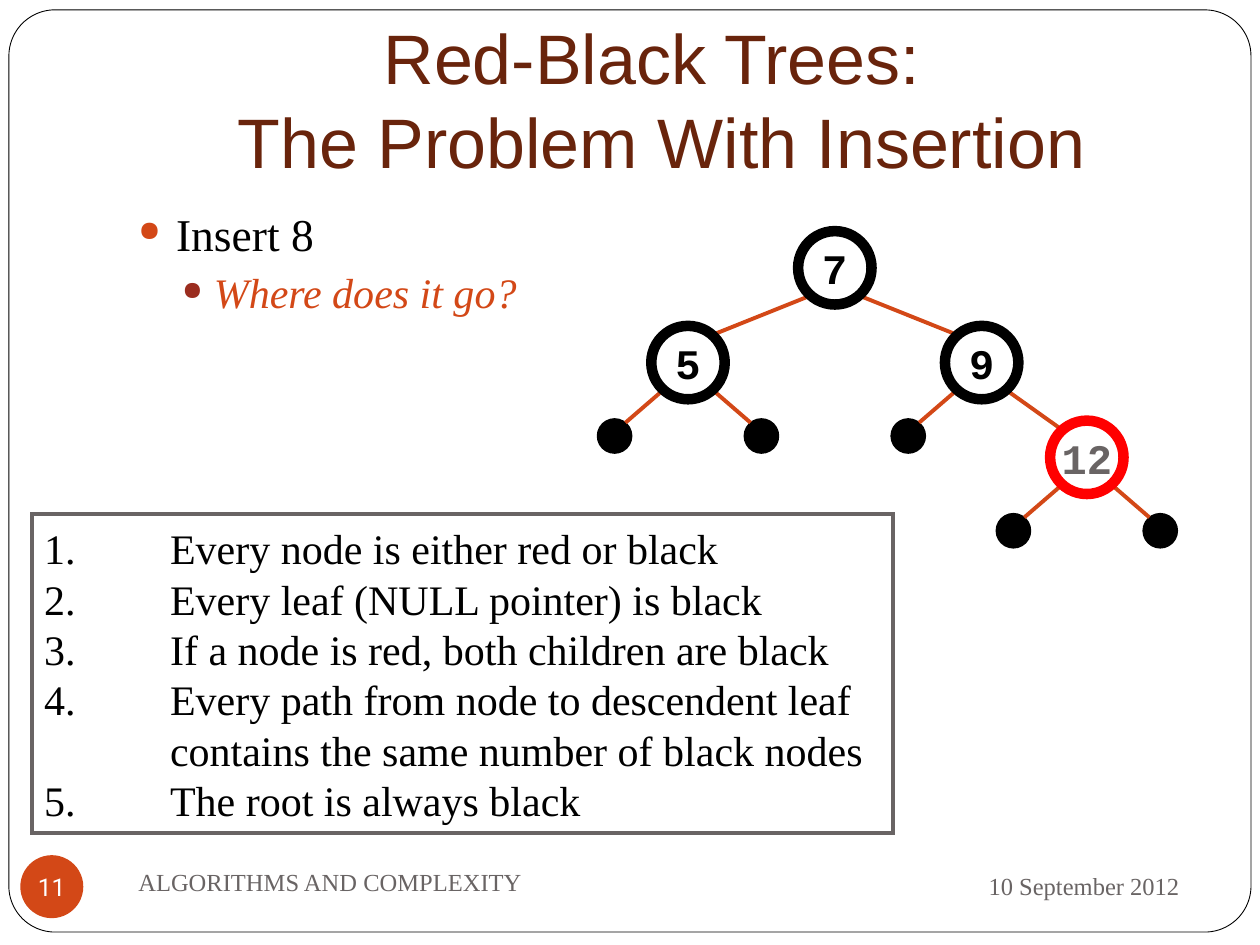
from dataclasses import dataclass

from lxml import etree
from pptx import Presentation
from pptx.dml.color import RGBColor
from pptx.enum.shapes import MSO_CONNECTOR, MSO_SHAPE
from pptx.enum.text import MSO_ANCHOR, PP_ALIGN
from pptx.oxml.ns import qn
from pptx.util import Cm, Pt

LEFT, CENTER, RIGHT = PP_ALIGN.LEFT, PP_ALIGN.CENTER, PP_ALIGN.RIGHT
MIDDLE, BOTTOM = MSO_ANCHOR.MIDDLE, MSO_ANCHOR.BOTTOM
OVAL, RECTANGLE, ROUNDED = MSO_SHAPE.OVAL, MSO_SHAPE.RECTANGLE, MSO_SHAPE.ROUNDED_RECTANGLE
STRAIGHT = MSO_CONNECTOR.STRAIGHT


@dataclass(frozen=True)
class Theme:
    """Colours, fonts and type sizes of the slide."""
    black: str = "000000"
    white: str = "FFFFFF"
    red: str = "FF0000"
    accent: str = "D34817"
    maroon: str = "9B2D1F"
    brown: str = "69240C"
    grey: str = "696464"
    serif: str = "Times New Roman"
    sans: str = "Arial"
    mono: str = "Courier New"
    badge: str = "Roboto"
    title: int = 40
    lead: int = 26
    text: int = 24
    small: int = 14


THEME = Theme()
RULES = (
    "1.\tEvery node is either red or black",
    "2.\tEvery leaf (NULL pointer) is black",
    "3.\tIf a node is red, both children are black",
    "4. \tEvery path from node to descendent leaf\v\tcontains the same number of black nodes",
    "5. \tThe root is always black",
)
STEP_Y, LEAF_STEP = 1.91, 1.48
NODE_SIZE, LEAF_SIZE = 1.48, 0.64
NODE_REACH, LEAF_REACH = (0.52, 0.57), (0.22, 0.27)


def font(size, name, color, **extra):
    """Return the format values of a piece of text."""
    return {"size": Pt(size), "name": name, "color": color, **extra}


def write(para, text, values):
    """Put text in a paragraph and format its runs."""
    para.text = text
    for span in para.runs:
        for key, value in values.items():
            if key == "color":
                span.font.color.rgb = RGBColor.from_string(value)
            else:
                setattr(span.font, key, value)


def fill_text(shape, lines, values, align=LEFT, anchor=MIDDLE, wrap=True):
    """Write equally formatted paragraphs into a shape."""
    frame = shape.text_frame
    frame.word_wrap, frame.vertical_anchor = wrap, anchor
    for index, line in enumerate(lines):
        para = frame.add_paragraph() if index else frame.paragraphs[0]
        para.alignment = align
        write(para, line, values)
    return frame


def add_box(page, box):
    """Add a text box at a box given in centimetres."""
    return page.shapes.add_textbox(*map(Cm, box))


def add_shape(page, kind, box, fill=None, line=None, width=0):
    """Add a flat preset shape."""
    shape = page.shapes.add_shape(kind, *map(Cm, box))
    shape.shadow.inherit = False
    if fill:
        shape.fill.solid()
        shape.fill.fore_color.rgb = RGBColor.from_string(fill)
    else:
        shape.fill.background()
    if line:
        shape.line.color.rgb = RGBColor.from_string(line)
        shape.line.width = Pt(width)
    else:
        shape.line.fill.background()
    return shape


def add_circle(page, center, size, *style):
    """Add a circle around a centre point."""
    x, y = center
    return add_shape(page, OVAL, (x - size / 2, y - size / 2, size, size), *style)


def add_edge(page, parent, child, reach):
    """Join a parent to its child, stopping at the rims."""
    side = 1 if child[0] > parent[0] else -1
    start = parent[0] + side * NODE_REACH[0], parent[1] + NODE_REACH[1]
    end = child[0] - side * reach[0], child[1] - reach[1]
    edge = page.shapes.add_connector(STRAIGHT, *map(Cm, start + end))
    edge.line.color.rgb = RGBColor.from_string(THEME.accent)
    edge.line.width = Pt(2.25)
    etree.SubElement(edge.element.spPr, qn("a:effectLst"))


def add_bullet(para, color, margin, indent):
    """Give a paragraph a round coloured bullet."""
    props = para._p.get_or_add_pPr()
    props.set("marL", str(Cm(margin)))
    props.set("indent", str(Cm(-indent)))
    tint = etree.SubElement(props, qn("a:buClr"))
    etree.SubElement(tint, qn("a:srgbClr"), val=color)
    etree.SubElement(props, qn("a:buSzPct"), val="62000")
    etree.SubElement(props, qn("a:buChar"), char="●")


def build_title(page, box):
    """Place the two-line heading."""
    frame = fill_text(add_box(page, box), ["Red-Black Trees: \vThe Problem With Insertion"],
                      font(THEME.title, THEME.sans, THEME.brown), CENTER, BOTTOM)
    frame.margin_bottom = Cm(0.25)


def build_question(page, box):
    """Place the bulleted question."""
    frame = add_box(page, box).text_frame
    frame.word_wrap = True
    lead, question = frame.paragraphs[0], frame.add_paragraph()
    add_bullet(lead, THEME.accent, 0.76, 0.76)
    write(lead, "Insert 8", font(THEME.lead, THEME.serif, THEME.black))
    question.level = 1
    add_bullet(question, THEME.maroon, 1.52, 0.64)
    question.space_before = Pt(3.8)
    write(question, "Where does it go?", font(THEME.text, THEME.serif, THEME.accent, italic=True))


def build_tree(page, box):
    """Draw the red-black tree from its root downwards."""
    left, top = box[:2]
    root = left + 4.76, top + NODE_SIZE / 2
    five = root[0] - 2 * LEAF_STEP, root[1] + STEP_Y
    nine = root[0] + 2 * LEAF_STEP, root[1] + STEP_Y
    twelve = nine[0] + 2.12, nine[1] + STEP_Y
    leaves = [(parent, (parent[0] + side * LEAF_STEP, parent[1] + LEAF_STEP))
              for parent, sides in ((five, (-1, 1)), (nine, (-1,)), (twelve, (-1, 1)))
              for side in sides]
    for _, leaf in leaves:
        add_circle(page, leaf, LEAF_SIZE, THEME.black, THEME.black, 2.25)
    for parent, leaf in leaves:
        add_edge(page, parent, leaf, LEAF_REACH)
    for parent, child in ((root, five), (root, nine), (nine, twelve)):
        add_edge(page, parent, child, NODE_REACH)
    for key, center, ring, ink in (("12", twelve, THEME.red, THEME.grey),
                                   ("5", five, THEME.black, THEME.black),
                                   ("9", nine, THEME.black, THEME.black),
                                   ("7", root, THEME.black, THEME.black)):
        node = add_circle(page, center, NODE_SIZE, THEME.white, ring, 6)
        fill_text(node, [key], font(THEME.text, THEME.mono, ink, bold=True), CENTER, wrap=False)


def build_rules(page, box):
    """Place the framed list of tree properties."""
    panel = add_shape(page, RECTANGLE, box, None, THEME.grey, 2.25)
    etree.SubElement(panel.line._get_or_add_ln(), qn("a:miter"), lim="800000")
    frame = fill_text(panel, RULES, font(THEME.text, THEME.serif, THEME.black))
    for para in frame.paragraphs:
        stops = etree.SubElement(para._p.get_or_add_pPr(), qn("a:tabLst"))
        etree.SubElement(stops, qn("a:tab"), pos=str(Cm(2.54)), algn="l")


def build_footer(page, box):
    """Place the page number, course name and date."""
    left, top, width, height = box
    small = font(THEME.small, THEME.serif, THEME.grey)
    fill_text(add_box(page, (left + width - 6.88, top + 0.05, 6.88, 1.32)),
              ["10 September 2012"], small, RIGHT)
    badge = add_shape(page, OVAL, (left, top + 0.1, height, height), THEME.accent)
    frame = fill_text(badge, ["11"], font(THEME.small, THEME.badge, THEME.white), CENTER, wrap=False)
    for side in ("left", "top", "right", "bottom"):
        setattr(frame, f"margin_{side}", 0)
    fill_text(add_box(page, (left + 2.13, top, 11, height)), ["ALGORITHMS AND COMPLEXITY"], small)


def main():
    """Build and save the slide."""
    deck = Presentation()
    deck.slide_width, deck.slide_height = Cm(25.4), Cm(19.05)
    page = deck.slides.add_slide(deck.slide_layouts[6])
    border = add_shape(page, ROUNDED, (0.18, 0.2, 25.04, 18.59), THEME.white, THEME.black, 0.5)
    border.adjustments[0] = 0.05
    build_question(page, (2.54, 4.02, 21.59, 12.7))
    build_title(page, (2.54, 0.74, 21.59, 3.18))
    build_tree(page, (12.07, 4.66, 11.64, 6.35))
    build_rules(page, (0.64, 10.37, 17.36, 6.43))
    build_footer(page, (0.41, 17.14, 23.62, 1.27))
    deck.save("out.pptx")


if __name__ == "__main__":
    main()
